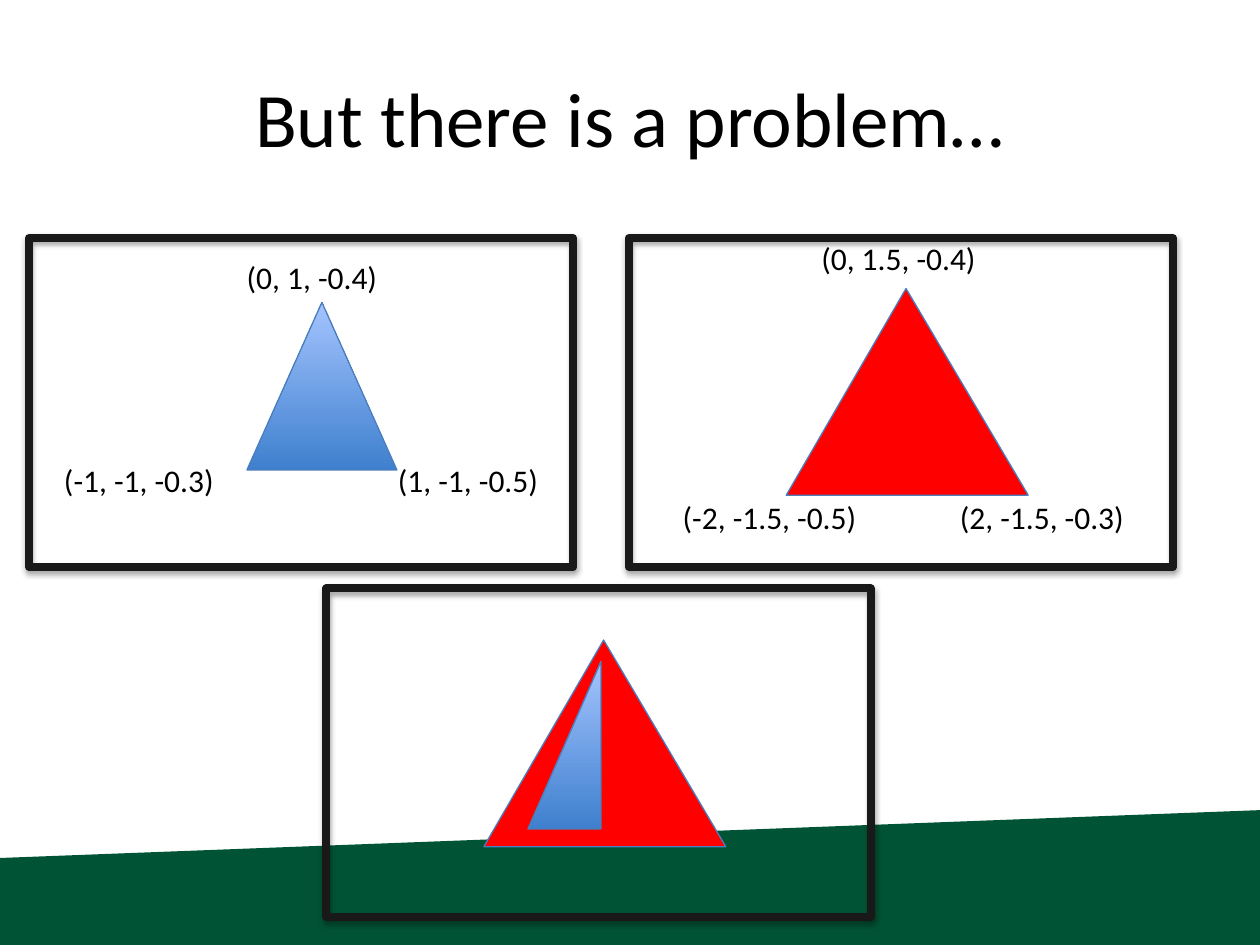
"""Build the slide on the depth problem of overlapping triangles."""
from dataclasses import dataclass
from typing import Any

import lxml.etree
import pptx
import pptx.dml.color
import pptx.enum.shapes
import pptx.enum.text
import pptx.oxml.ns
import pptx.util

Inches = pptx.util.Inches
Kind = pptx.enum.shapes.MSO_SHAPE
FONT = "Calibri"
BLACK, RED, GREEN = "000000", "FF0000", "005334"
FRAME_LINE, TRIANGLE_LINE = "191919", "4B7EBC"
BLUE_GRADIENT = ("3F80CE", "A4C4FF")
FRAME_SIZE = (4.32, 2.61)
RED_SIZE = (1.92, 1.64)
RED_PEAK = 0.495


@dataclass
class Label:
    """A vertex coordinate and the box that holds it."""

    text: str
    left: float
    top: float
    width: float


LABELS = [
    Label("(-1, -1, -0.3)", 0.41, 3.61, 1.53),
    Label("(2, -1.5, -0.3)", 7.52, 3.9, 1.66),
    Label("(1, -1, -0.5)", 3.06, 3.61, 1.45),
    Label("(0, 1, -0.4)", 1.86, 2, 1.37),
    Label("(-2, -1.5, -0.5)", 5.32, 3.9, 1.75),
    Label("(0, 1.5, -0.4)", 6.42, 1.85, 1.58),
]


def rgb(value: str) -> pptx.dml.color.RGBColor:
    """Return the colour for a hex string."""
    return pptx.dml.color.RGBColor.from_string(value)


def format_text(shape: Any, size: float) -> None:
    """Set the font of every run in a shape."""
    for para in shape.text_frame.paragraphs:
        for span in para.runs:
            span.font.name = FONT
            span.font.size = pptx.util.Pt(size)
            span.font.color.rgb = rgb(BLACK)


def add_outlined(shapes: Any, kind: Any, left: float, top: float,
                 size: tuple[float, float], line: str, weight: float) -> Any:
    """Add a preset shape with an outline and no shadow."""
    shape = shapes.add_shape(kind, Inches(left), Inches(top), *map(Inches, size))
    shape.shadow.inherit = False
    shape.line.color.rgb = rgb(line)
    shape.line.width = pptx.util.Pt(weight)
    return shape


def add_frame(shapes: Any, left: float, top: float) -> None:
    """Add an unfilled viewport frame with a soft shadow below it."""
    frame = add_outlined(shapes, Kind.RECTANGLE, left, top, FRAME_SIZE, FRAME_LINE, 4.5)
    frame.fill.background()
    qn = pptx.oxml.ns.qn
    effects = frame.element.spPr.find(qn("a:effectLst"))
    shadow = lxml.etree.SubElement(
        effects, qn("a:outerShdw"), blurRad=str(pptx.util.Pt(3.1)),
        dist=str(pptx.util.Pt(1.8)), dir="5400000", rotWithShape="0")
    color = lxml.etree.SubElement(shadow, qn("a:srgbClr"), val=BLACK)
    lxml.etree.SubElement(color, qn("a:alpha"), val="35000")


def add_red_triangle(shapes: Any, left: float, top: float) -> None:
    """Add the large red triangle."""
    triangle = add_outlined(shapes, Kind.ISOSCELES_TRIANGLE, left, top, RED_SIZE,
                            TRIANGLE_LINE, 0.75)
    triangle.adjustments[0] = RED_PEAK
    triangle.fill.solid()
    triangle.fill.fore_color.rgb = rgb(RED)


def add_blue_triangle(shapes: Any, kind: Any, left: float, top: float, width: float) -> Any:
    """Add a blue triangle that lightens towards its top."""
    triangle = add_outlined(shapes, kind, left, top, (width, 1.33), TRIANGLE_LINE, 0.75)
    triangle.fill.gradient()
    triangle.fill.gradient_angle = 90
    for stop, color in zip(triangle.fill.gradient_stops, BLUE_GRADIENT):
        stop.color.rgb = rgb(color)
    return triangle


def add_label(shapes: Any, label: Label) -> None:
    """Add a vertex coordinate."""
    box = shapes.add_textbox(*map(Inches, (label.left, label.top, label.width, 0.4)))
    box.text_frame.text = label.text
    box.text_frame.word_wrap = False
    box.text_frame.auto_size = pptx.enum.text.MSO_AUTO_SIZE.SHAPE_TO_FIT_TEXT
    format_text(box, 18)


def add_ground(shapes: Any) -> None:
    """Add the sloping green band along the bottom."""
    builder = shapes.build_freeform(0, Inches(6.81))
    corners = [(10, 6.43), (10, 7.5), (0, 7.5)]
    builder.add_line_segments([(Inches(x), Inches(y)) for x, y in corners])
    ground = builder.convert_to_shape()
    ground.shadow.inherit = False
    ground.fill.solid()
    ground.fill.fore_color.rgb = rgb(GREEN)
    ground.line.fill.background()


def add_title(title: Any) -> None:
    """Place and format the title."""
    title.left, title.top, title.width, title.height = map(Inches, (0.5, 0.3, 9, 1.25))
    title.text_frame.text = "But there is a problem…"
    title.text_frame.vertical_anchor = pptx.enum.text.MSO_ANCHOR.MIDDLE
    title.text_frame.paragraphs[0].alignment = pptx.enum.text.PP_ALIGN.CENTER
    format_text(title, 44)


def main() -> None:
    """Build and save the deck."""
    deck = pptx.Presentation()
    deck.slide_width, deck.slide_height = Inches(10), Inches(7.5)
    page = deck.slides.add_slide(deck.slide_layouts[5])
    shapes = page.shapes
    add_ground(shapes)
    add_title(shapes.title)

    add_frame(shapes, 0.23, 1.89)
    add_blue_triangle(shapes, Kind.ISOSCELES_TRIANGLE, 1.96, 2.4, 1.19)
    add_frame(shapes, 4.99, 1.89)
    add_red_triangle(shapes, 6.24, 2.29)
    for label in LABELS:
        add_label(shapes, label)

    combined = shapes.add_group_shape().shapes
    add_frame(combined, 2.59, 4.67)
    add_red_triangle(combined, 3.84, 5.08)
    visible_half = add_blue_triangle(combined, Kind.RIGHT_TRIANGLE, 4.19, 5.25, 0.58)
    visible_half.element.spPr.xfrm.set("flipH", "1")
    deck.save("out.pptx")


if __name__ == "__main__":
    main()
